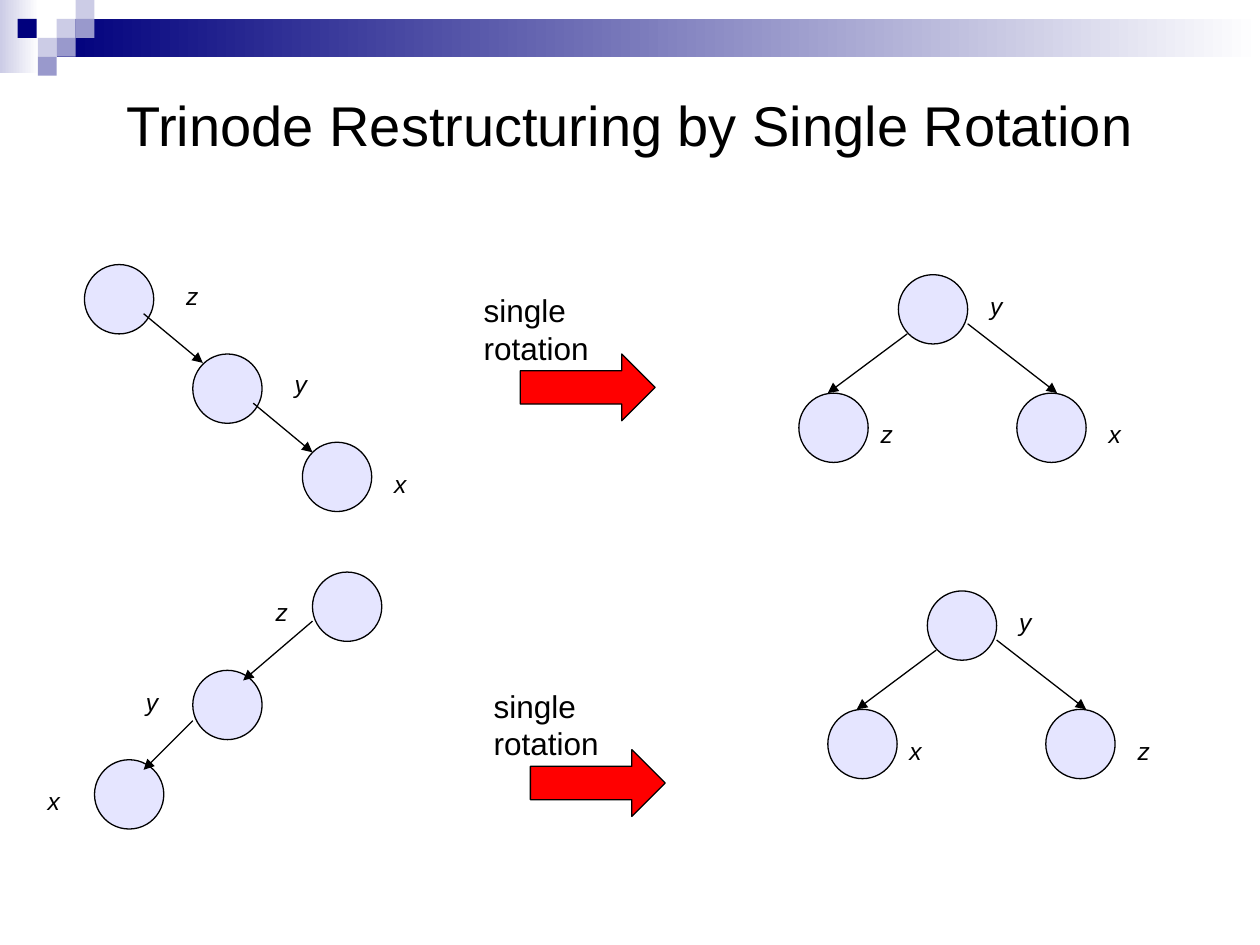
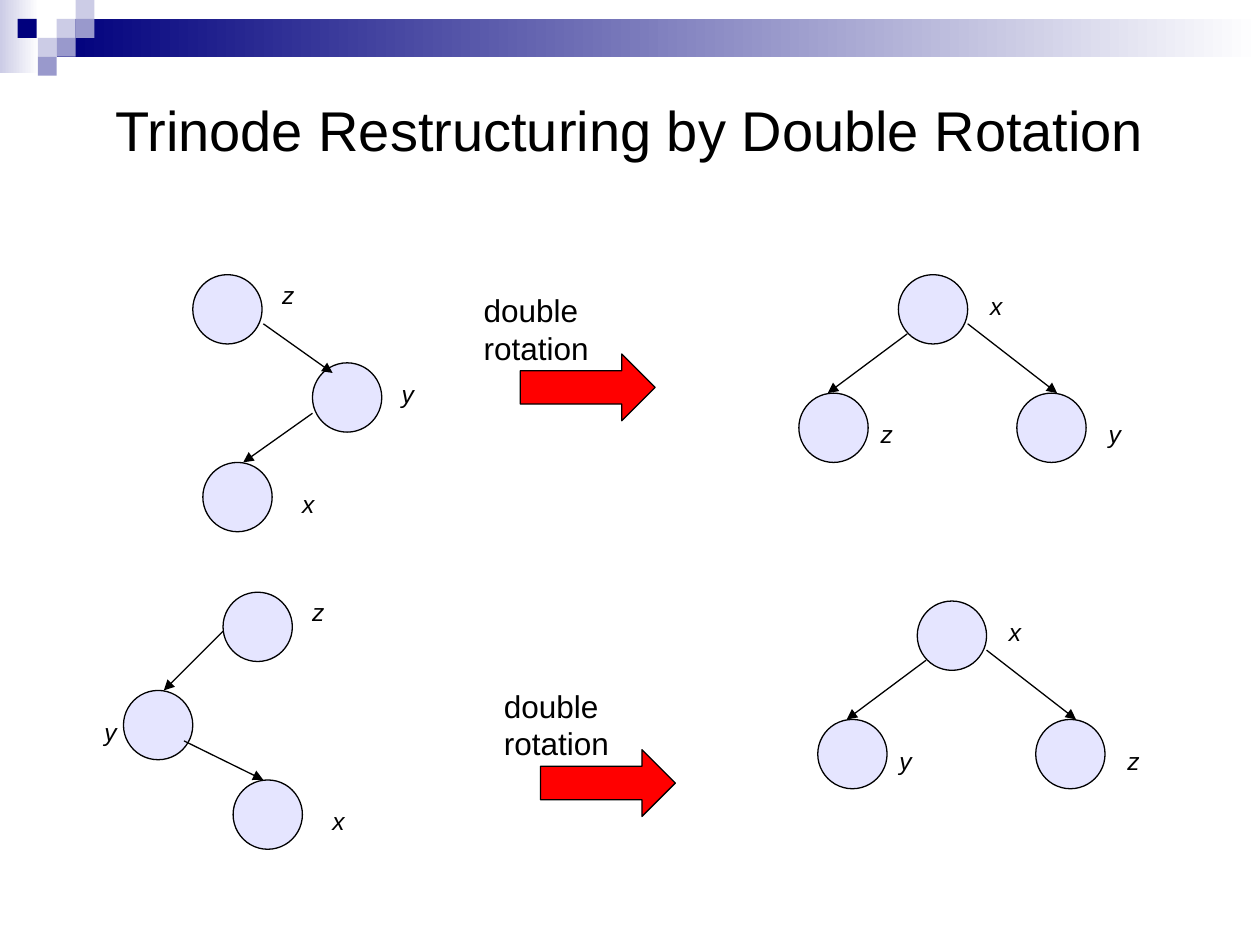
"""Build two slides that show trinode restructuring by single and double rotation."""
from dataclasses import dataclass
from typing import NamedTuple

from lxml import etree
from pptx import Presentation
from pptx import util as u
from pptx.dml.color import RGBColor
from pptx.enum import shapes, text
from pptx.oxml.ns import qn


@dataclass(frozen=True)
class Theme:
    """Colours, font and sizes in points."""
    font: str = "Arial"
    black: str = "000000"
    white: str = "FFFFFF"
    navy: str = "00007D"
    violet: str = "9999CC"
    lilac: str = "CCCCE6"
    node: str = "9999FF"
    node_alpha: int = 25
    arrow: str = "FF0000"
    title_size: int = 32
    caption_size: int = 18
    label_size: int = 14
    line_width: float = 0.75


THEME = Theme()
NODE_SIZE = 0.55
SQUARE_SIZE = 0.15


class Box(NamedTuple):
    """Left, top, width and height in inches."""
    left: float
    top: float
    width: float
    height: float


class Square(NamedTuple):
    """A small square of the corner pattern."""
    left: float
    top: float
    color: str


class Node(NamedTuple):
    """A tree node with its label and the label's position."""
    left: float
    top: float
    label: str
    label_left: float
    label_top: float


class Edge(NamedTuple):
    """An arrow between two points."""
    x1: float
    y1: float
    x2: float
    y2: float


@dataclass(frozen=True)
class Tree:
    """Nodes and the edges that join them."""
    nodes: list[Node]
    edges: list[Edge]


@dataclass(frozen=True)
class Rotation:
    """A tree before and after a rotation, with the arrow's position."""
    before: Tree
    after: Tree
    arrow_left: float
    arrow_top: float


@dataclass(frozen=True)
class RotationSlide:
    """The content of one slide."""
    title: str
    title_height: float
    caption: str
    caption_width: float
    rotations: list[Rotation]


def balanced_tree(left: float, top: float, labels: str) -> Tree:
    """Return a root with two children, placed from the root's corner."""
    offsets = [(0, 0, 0.63, 0.08), (-0.79, 0.94, -0.24, 1.1), (0.94, 0.94, 1.57, 1.1)]
    nodes = [Node(left + x, top + y, label, left + label_x, top + label_y)
             for label, (x, y, label_x, label_y) in zip(labels, offsets)]
    edges = [Edge(left + 0.07, top + 0.47, left - 0.56, top + 0.94),
             Edge(left + 0.55, top + 0.39, left + 1.26, top + 0.94)]
    return Tree(nodes, edges)


SQUARES = [
    Square(0.45, 0.15, THEME.lilac),
    Square(0.6, 0, THEME.lilac),
    Square(0.6, 0.15, THEME.violet),
    Square(0.3, 0.3, THEME.lilac),
    Square(0.14, 0.15, THEME.navy),
    Square(0.45, 0.3, THEME.violet),
    Square(0.3, 0.45, THEME.violet),
]

RIGHT_RIGHT = Tree(
    [Node(0.67, 2.1, "z", 1.38, 2.18), Node(1.53, 2.81, "y", 2.24, 2.88),
     Node(2.4, 3.51, "x", 3.03, 3.67)],
    [Edge(1.14, 2.49, 1.61, 2.88), Edge(2.01, 3.2, 2.48, 3.59)])
LEFT_LEFT = Tree(
    [Node(2.48, 4.54, "z", 2.09, 4.69), Node(1.53, 5.32, "y", 1.06, 5.4),
     Node(0.75, 6.03, "x", 0.28, 6.19)],
    [Edge(2.48, 4.93, 1.93, 5.4), Edge(1.53, 5.72, 1.14, 6.11)])
RIGHT_LEFT = Tree(
    [Node(1.53, 2.18, "z", 2.14, 2.17), Node(2.48, 2.88, "y", 3.09, 2.96),
     Node(1.61, 3.67, "x", 2.3, 3.83)],
    [Edge(2.09, 2.57, 2.64, 2.96), Edge(2.48, 3.28, 1.93, 3.67)])
LEFT_RIGHT = Tree(
    [Node(1.77, 4.7, "z", 2.38, 4.69), Node(0.98, 5.48, "y", 0.73, 5.64),
     Node(1.85, 6.19, "x", 2.54, 6.35)],
    [Edge(1.77, 5.01, 1.3, 5.48), Edge(1.46, 5.88, 2.09, 6.19)])

SLIDES = [
    RotationSlide("Trinode Restructuring by Single Rotation", 0.97, "single rotation", 1.75, [
        Rotation(RIGHT_RIGHT, balanced_tree(7.13, 2.18, "yzx"), 4.13, 2.81),
        Rotation(LEFT_LEFT, balanced_tree(7.36, 4.69, "yxz"), 4.21, 5.95)]),
    RotationSlide("Trinode Restructuring by Double Rotation", 1.05, "double rotation", 1.85, [
        Rotation(RIGHT_LEFT, balanced_tree(7.13, 2.18, "xzy"), 4.13, 2.81),
        Rotation(LEFT_RIGHT, balanced_tree(7.28, 4.77, "xyz"), 4.29, 5.95)]),
]


def inches(box: Box) -> list[u.Length]:
    """Convert a box to lengths."""
    return [u.Inches(value) for value in box]


def write(shape, content: str, *, size: int, italic: bool = False, wrap: bool = False,
          align=text.PP_ALIGN.LEFT, anchor=text.MSO_ANCHOR.TOP) -> None:
    """Put formatted text in a shape."""
    frame = shape.text_frame
    frame.text = content
    frame.word_wrap = wrap
    frame.auto_size = text.MSO_AUTO_SIZE.NONE if wrap else text.MSO_AUTO_SIZE.SHAPE_TO_FIT_TEXT
    frame.vertical_anchor = anchor
    paragraph = frame.paragraphs[0]
    paragraph.alignment = align
    font = paragraph.runs[0].font
    font.name, font.size, font.italic = THEME.font, u.Pt(size), italic
    font.color.rgb = RGBColor.from_string(THEME.black)


def add_label(slide, box: Box, content: str, size: int, italic: bool = False) -> None:
    """Add a one-line text box."""
    write(slide.shapes.add_textbox(*inches(box)), content, size=size, italic=italic)


def style_line(line) -> None:
    """Give an outline or connector the thin black line."""
    line.color.rgb = RGBColor.from_string(THEME.black)
    line.width = u.Pt(THEME.line_width)


def add_filled(slide, kind, box: Box, color: str, outlined: bool = False):
    """Add a preset shape with a solid fill."""
    shape = slide.shapes.add_shape(kind, *inches(box))
    shape.shadow.inherit = False
    shape.fill.solid()
    shape.fill.fore_color.rgb = RGBColor.from_string(color)
    if outlined:
        style_line(shape.line)
    else:
        shape.line.fill.background()
    return shape


def add_fade(slide, box: Box, color: str):
    """Add a rectangle that fades to white towards the right."""
    shape = add_filled(slide, shapes.MSO_SHAPE.RECTANGLE, box, color)
    shape.fill.gradient()
    shape.fill.gradient_angle = 180
    for stop, stop_color in zip(shape.fill.gradient_stops, (THEME.white, color)):
        stop.color.rgb = RGBColor.from_string(stop_color)
    return shape


def add_header_to_layout(slide) -> None:
    """Draw the header band and move it to the layout that slides share."""
    header = [add_fade(slide, Box(0, 0, 0.31, 0.58), THEME.lilac),
              add_fade(slide, Box(0.45, 0.15, 9.55, 0.3), THEME.navy)]
    for square in SQUARES:
        box = Box(square.left, square.top, SQUARE_SIZE, SQUARE_SIZE)
        header.append(add_filled(slide, shapes.MSO_SHAPE.RECTANGLE, box, square.color))
    layout_tree = slide.slide_layout.shapes.element
    for index, shape in enumerate(header):
        shape.element.nvSpPr.cNvPr.set("id", str(20 + index))
        layout_tree.insert(2 + index, shape.element)


def add_node(slide, node: Node) -> None:
    """Add a translucent circle."""
    box = Box(node.left, node.top, NODE_SIZE, NODE_SIZE)
    circle = add_filled(slide, shapes.MSO_SHAPE.OVAL, box, THEME.node, outlined=True)
    color = circle.element.spPr.find(f"{qn('a:solidFill')}/{qn('a:srgbClr')}")
    etree.SubElement(color, qn("a:alpha"), val=str(THEME.node_alpha * 1000))


def add_edge(slide, edge: Edge) -> None:
    """Add a straight line with an arrowhead at its end."""
    connector = slide.shapes.add_connector(
        shapes.MSO_CONNECTOR.STRAIGHT, *(u.Inches(value) for value in edge))
    style_line(connector.line)
    etree.SubElement(connector.line._get_or_add_ln(), qn("a:tailEnd"), type="triangle")
    etree.SubElement(connector.element.spPr, qn("a:effectLst"))


def add_tree(slide, tree: Tree) -> None:
    """Draw a tree's nodes, edges and labels."""
    for node in tree.nodes:
        add_node(slide, node)
    for edge in tree.edges:
        add_edge(slide, edge)
    for node in tree.nodes:
        box = Box(node.label_left, node.label_top, 0.3, 0.34)
        add_label(slide, box, node.label, THEME.label_size, italic=True)


def add_rotation(slide, rotation: Rotation, caption: str, caption_width: float) -> None:
    """Draw both trees with the captioned arrow between them."""
    left, top = rotation.arrow_left, rotation.arrow_top
    add_tree(slide, rotation.before)
    add_filled(slide, shapes.MSO_SHAPE.RIGHT_ARROW, Box(left, top, 1.07, 0.53),
               THEME.arrow, outlined=True)
    add_label(slide, Box(left - 0.39, top - 0.55, caption_width, 0.4), caption,
              THEME.caption_size)
    add_tree(slide, rotation.after)


def add_title(slide, content: str, height: float) -> None:
    """Place and format the title placeholder."""
    title = slide.shapes.title
    title.left, title.top, title.width, title.height = inches(Box(0.5, 0.5, 9, height))
    write(title, content, size=THEME.title_size, wrap=True,
          align=text.PP_ALIGN.CENTER, anchor=text.MSO_ANCHOR.MIDDLE)


def main() -> None:
    """Build and save the presentation."""
    presentation = Presentation()
    presentation.slide_width, presentation.slide_height = u.Inches(10), u.Inches(7.5)
    layout = presentation.slide_layouts.get_by_name("Title Only")
    for index, content in enumerate(SLIDES):
        slide = presentation.slides.add_slide(layout)
        if index == 0:
            add_header_to_layout(slide)
        add_title(slide, content.title, content.title_height)
        for rotation in content.rotations:
            add_rotation(slide, rotation, content.caption, content.caption_width)
    presentation.save("out.pptx")


if __name__ == "__main__":
    main()
